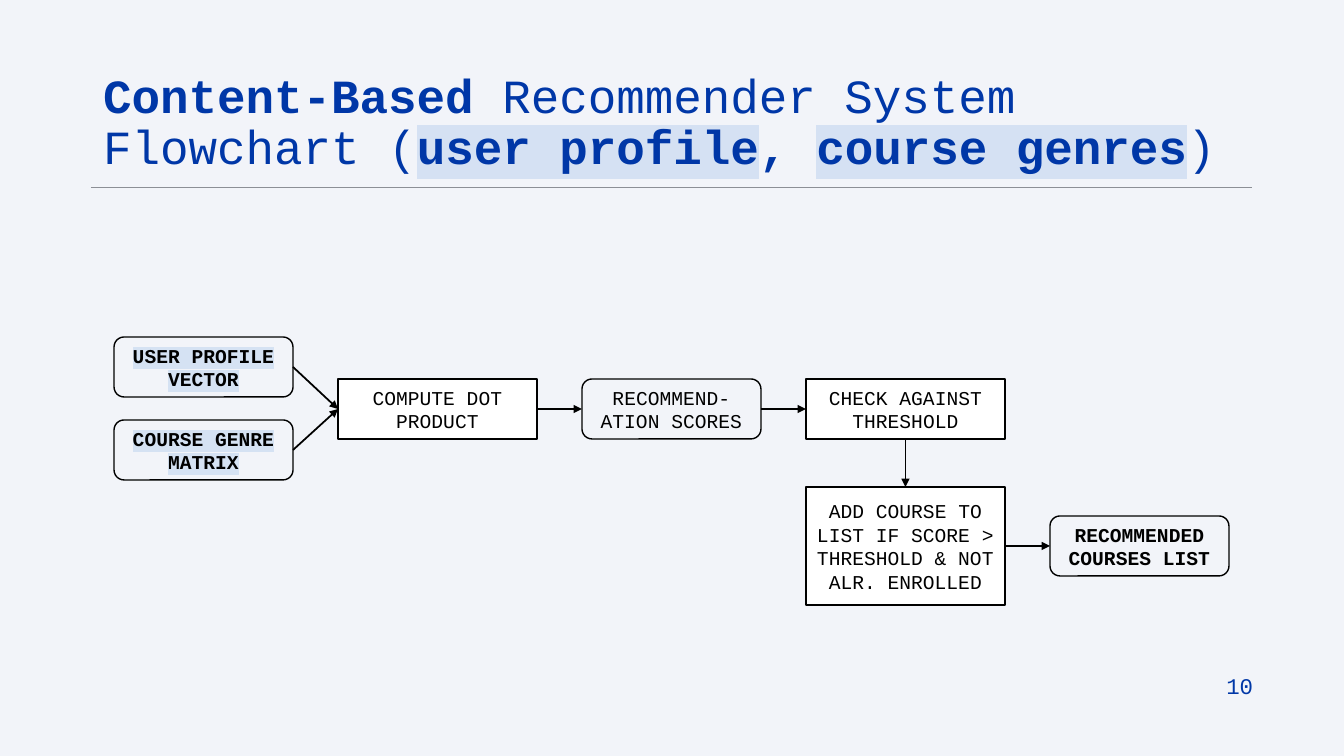
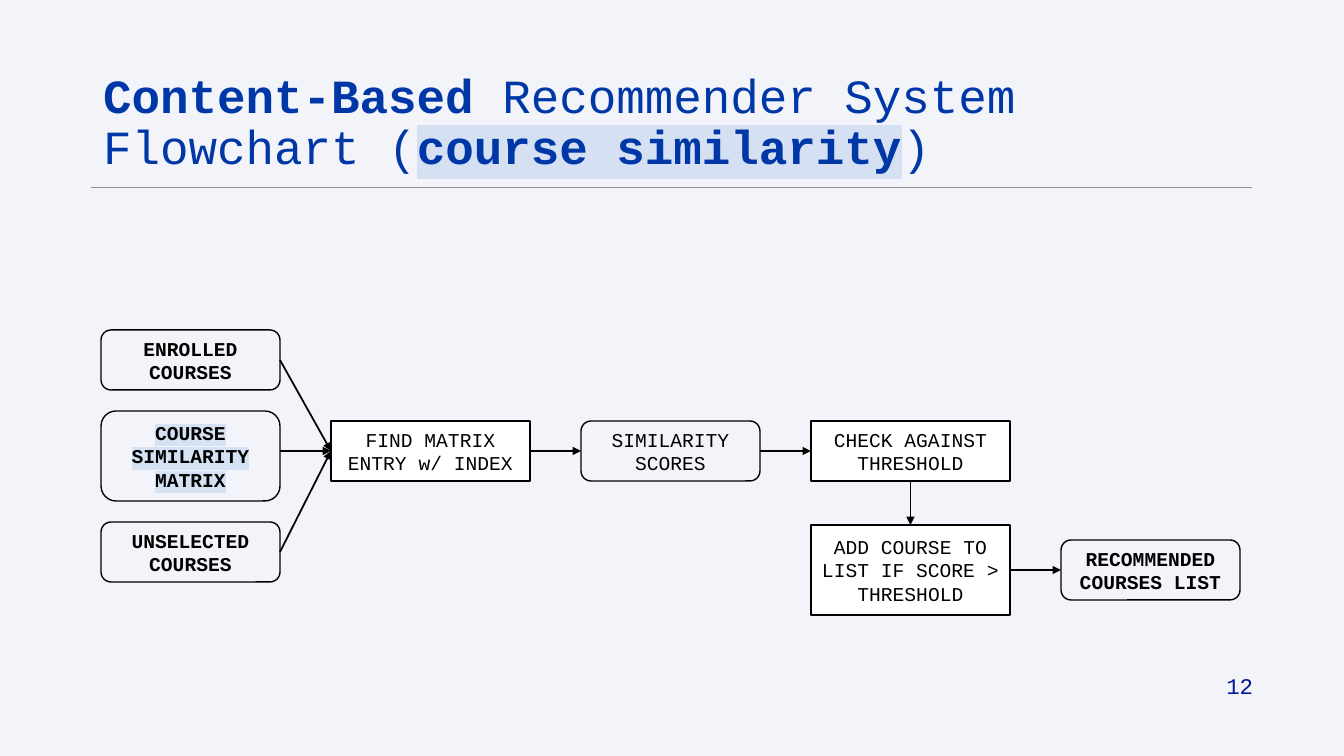
from lxml.etree import SubElement
from pptx import Presentation
from pptx.dml.color import RGBColor
from pptx.enum.shapes import MSO_CONNECTOR, MSO_SHAPE
from pptx.enum.text import MSO_ANCHOR, PP_ALIGN
from pptx.oxml.ns import qn
from pptx.util import Pt

PX = 12192000 / 1344  # EMU in one px
FONT = "Courier New"
COLORS = {
    "background": "F2F4F9",
    "title": "0037A7",
    "title mark": "D5E1F3",
    "mark": "D5E2F3",
    "rule": "8C8F96",
    "ink": "000000",
    "step": "FFFFFF",
    "navy": "011893",
}
DATA_WIDTH, STEP_WIDTH = 179, 199
COLUMN_WIDTHS = [DATA_WIDTH, STEP_WIDTH, DATA_WIDTH, STEP_WIDTH, DATA_WIDTH]


def write(paragraph, pieces, size, color, mark="mark"):
    """Add (text, style) pieces; in a style, b is bold and m is marked."""
    for text, style in pieces:
        run = paragraph.add_run()
        run.text = text
        run.font.name = FONT
        run.font.size = Pt(size)
        run.font.bold = "b" in style
        run.font.color.rgb = RGBColor.from_string(COLORS[color])
        if "m" in style:
            properties = run.font._element
            highlight = SubElement(properties, qn("a:highlight"))
            SubElement(highlight, qn("a:srgbClr"), val=COLORS[mark])
            properties.find(qn("a:solidFill")).addnext(highlight)


def draw_line(slide, ends, color, width, arrow=False):
    line = slide.shapes.add_connector(MSO_CONNECTOR.STRAIGHT, *(round(end * PX) for end in ends))
    line.line.color.rgb = RGBColor.from_string(COLORS[color])
    line.line.width = Pt(width)
    if arrow:
        SubElement(line.line._get_or_add_ln(), qn("a:tailEnd"), type="triangle")
    SubElement(line._element.spPr, qn("a:effectLst"))
    return line


# Content: nodes are key: (column, top, height, pieces), even columns hold data
flowcharts = [
    {
        "number": "10", "number color": "title", "left": 114, "gap": 45,
        "subject": [("user profile", "bm"), (", ", "b"), ("course genres", "bm"), (")", "")],
        "nodes": {
            "profile": (0, 337, 60, [("USER PROFILE", "bm"), (" ", "b"), ("VECTOR", "bm")]),
            "genres": (0, 420, 60, [("COURSE GENRE", "bm"), (" ", "b"), ("MATRIX", "bm")]),
            "compute": (1, 379, 60, [("COMPUTE DOT PRODUCT", "")]),
            "scores": (2, 379, 60, [("RECOMMEND-ATION SCORES", "")]),
            "check": (3, 379, 60, [("CHECK AGAINST THRESHOLD", "")]),
            "add": (3, 487, 118, [
                ("ADD COURSE TO LIST IF SCORE > THRESHOLD & NOT ALR. ENROLLED", "")]),
            "list": (4, 516, 60, [("RECOMMENDED COURSES LIST", "b")]),
        },
        "arrows": ["profile compute", "genres compute", "compute scores",
                   "scores check", "check add", "add list"],
    },
    {
        "number": "12", "number color": "navy", "left": 101, "gap": 51,
        "subject": [("course similarity", "bm"), (")", "")],
        "nodes": {
            "enrolled": (0, 330, 60, [("ENROLLED COURSES", "b")]),
            "matrix": (0, 411, 90, [("COURSE", "bm"), (" ", "b"), ("SIMILARITY", "bm"),
                                    (" ", "b"), ("MATRIX", "bm")]),
            "unselected": (0, 522, 60, [("UNSELECTED COURSES", "b")]),
            "find": (1, 421, 60, [("FIND MATRIX ENTRY w/ INDEX", "")]),
            "scores": (2, 421, 60, [("SIMILARITY SCORES", "")]),
            "check": (3, 421, 60, [("CHECK AGAINST THRESHOLD", "")]),
            "add": (3, 525, 90, [("ADD COURSE TO LIST IF SCORE > THRESHOLD", "")]),
            "list": (4, 540, 60, [("RECOMMENDED COURSES LIST", "b")]),
        },
        "arrows": ["enrolled find", "matrix find", "unselected find", "find scores",
                   "scores check", "check add", "add list"],
    },
]

prs = Presentation()
prs.slide_width, prs.slide_height = round(1344 * PX), round(756 * PX)

# Shared background
background = prs.slide_master.background.fill
background.solid()
background.fore_color.rgb = RGBColor.from_string(COLORS["background"])

for chart in flowcharts:
    slide = prs.slides.add_slide(prs.slide_layouts[5])

    # Title and the rule below it
    title = slide.shapes.title
    title.left, title.top, title.width, title.height = (
        round(length * PX) for length in (93, 57, 1159, 147))
    title.text_frame.word_wrap = True
    title.text_frame.vertical_anchor = MSO_ANCHOR.TOP
    title.text_frame.margin_top = round(15 * PX)
    heading = title.text_frame.paragraphs[0]
    heading.alignment = PP_ALIGN.LEFT
    heading.line_spacing = 0.9
    opening = [("Content-Based", "b"), (" Recommender System Flowchart (", "")]
    write(heading, opening + chart["subject"], 34, "title", "title mark")
    draw_line(slide, (91, 187, 1252, 187), "rule", 0.5)

    # Nodes: rounded boxes for data, white boxes for steps
    boxes = {}
    for key, (column, top, height, pieces) in chart["nodes"].items():
        left = chart["left"] + sum(COLUMN_WIDTHS[:column]) + column * chart["gap"]
        width = COLUMN_WIDTHS[column]
        is_step = column % 2 == 1
        node = slide.shapes.add_shape(
            MSO_SHAPE.RECTANGLE if is_step else MSO_SHAPE.ROUNDED_RECTANGLE,
            *(round(length * PX) for length in (left, top, width, height)))
        node.shadow.inherit = False
        if is_step:
            node.fill.solid()
            node.fill.fore_color.rgb = RGBColor.from_string(COLORS["step"])
        else:
            node.fill.background()
        node.line.color.rgb = RGBColor.from_string(COLORS["ink"])
        node.line.width = Pt(1)
        node.text_frame.word_wrap = True
        node.text_frame.vertical_anchor = MSO_ANCHOR.MIDDLE
        label = node.text_frame.paragraphs[0]
        label.alignment = PP_ALIGN.CENTER
        write(label, pieces, 14, "ink")
        boxes[key] = (node, column, left, top, width, height)

    # Arrows: down within a column, otherwise from right side to left side
    for pair in chart["arrows"]:
        start, end = pair.split()
        source, source_column, left, top, width, height = boxes[start]
        target, target_column, next_left, next_top, next_width, next_height = boxes[end]
        middle, next_middle = top + height / 2, next_top + next_height / 2
        if source_column == target_column:
            center = left + width / 2
            ends, source_site, target_site = (center, top + height, center, next_top), 2, 0
        else:
            # Stay level when the target's middle lies beside the source
            is_level = top < next_middle < top + height
            start_y = next_middle if is_level else middle
            ends = (left + width, start_y, next_left, next_middle)
            source_site, target_site = 3, 1
        arrow = draw_line(slide, ends, "ink", 1.25, arrow=True)
        arrow.end_connect(target, target_site)
        if source_site == 2 or ends[1] == middle:
            arrow.begin_connect(source, source_site)

    # Page number
    page = slide.shapes.add_textbox(*(round(length * PX) for length in (961, 664, 302, 44)))
    page.text_frame.word_wrap = True
    page.text_frame.vertical_anchor = MSO_ANCHOR.MIDDLE
    number = page.text_frame.paragraphs[0]
    number.alignment = PP_ALIGN.RIGHT
    number.space_after = Pt(6)
    write(number, [(chart["number"], "")], 16, chart["number color"])

prs.save("out.pptx")
